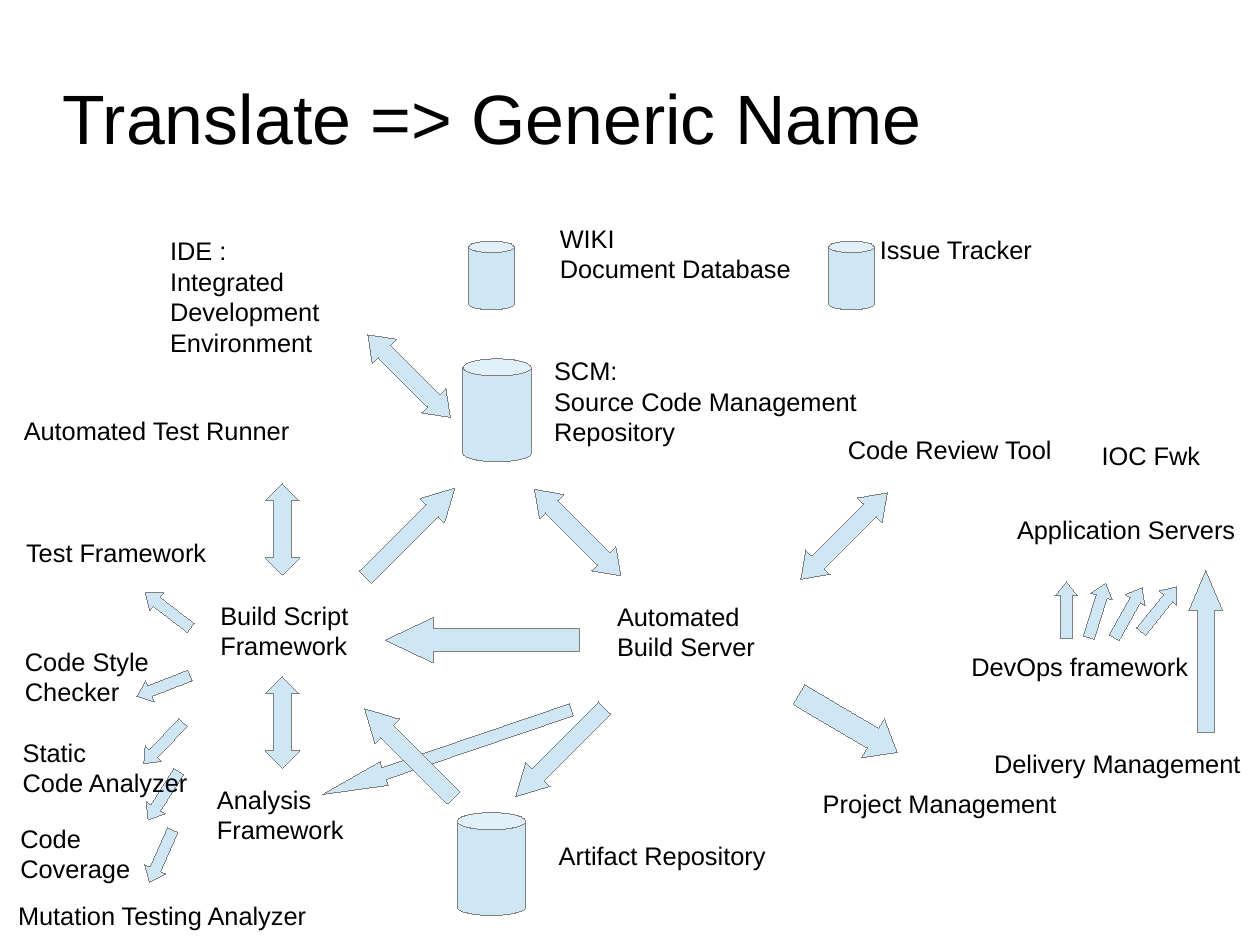
from dataclasses import dataclass

from pptx import Presentation
from pptx.dml.color import RGBColor
from pptx.enum.shapes import MSO_SHAPE as Preset
from pptx.enum.text import MSO_ANCHOR as Anchor, MSO_AUTO_SIZE as AutoSize
from pptx.util import Cm, Pt


@dataclass(frozen=True)
class Theme:
    font: str = "Arial"
    ink: str = "000000"
    fill: str = "CFE7F5"
    edge: str = "808080"
    hairline: float = 0.01
    title_size: int = 44
    label_size: int = 16


COLUMNS, ROWS = 110.24, 82.68
LABEL_LINE, LABEL_PADDING, LABEL_SLACK = 2.45, 1, 0.4

CANS = [
    (40.5, 31.4, 6, 9),
    (40, 71.1, 6, 9),
    (41, 21.1, 4, 6),
    (72.5, 21.1, 4, 6),
]

FLOW_ARROWS = [
    (Preset.RIGHT_ARROW, 30.4, 45.1, 11, 3, 315, 0.92),
    (Preset.LEFT_ARROW, 33.7, 54, 17, 4, 0, 1.06),
    (Preset.RIGHT_ARROW, 69.2, 61.3, 10, 4, 30.5, 0.62),
    (Preset.UP_ARROW, 104, 49.9, 3, 14.2, 0, 1.18),
    (Preset.RIGHT_ARROW, 43.5, 64.3, 11, 3, 135, 0.92),
    (Preset.RIGHT_ARROW, 27.6, 64.7, 23, 2.2, 161.2, 2.59),
    (Preset.RIGHT_ARROW, 30.3, 64.4, 11, 3, 225, 0.92),
    (Preset.LEFT_RIGHT_ARROW, 45.2, 45.1, 10.7, 3, 225, 0.71),
    (Preset.LEFT_RIGHT_ARROW, 68.5, 45.4, 10.7, 3, 315, 0.71),
    (Preset.LEFT_RIGHT_ARROW, 30.7, 31.4, 10.2, 3, 225, 0.68),
    (Preset.UP_DOWN_ARROW, 23.2, 42.3, 3, 8, 0, 0.53),
    (Preset.UP_DOWN_ARROW, 23.2, 59.2, 3, 8, 0, 0.53),
]

ANALYZER_ARROWS = [
    (12.2, 52.4, 37.5),
    (11.8, 59, 338.6),
    (11.8, 64, 313.5),
    (11.8, 68.6, 302.3),
    (11.6, 73.9, 294),
]

SERVER_ARROWS = [
    (90.8 + 2.7 * index, top, angle)
    for index, (top, angle) in enumerate(
        [(52.4, 90), (52.4, 107.3), (52.6, 119.2), (52.3, 128.7)]
    )
]

LABELS = [
    ("IDE :\nIntegrated\nDevelopment\nEnvironment", 13.9, 20.1, 15.1),
    ("WIKI\nDocument Database", 48, 19, 22.2),
    ("Issue Tracker", 76, 20, 15.3),
    ("SCM:\nSource Code Management\nRepository", 47.5, 30.6, 28.5),
    ("Automated Test Runner", 1.1, 35.8, 25.3),
    ("Code Review Tool", 73.2, 37.5, 19.8),
    ("IOC Fwk", 95.4, 38, 10.6),
    ("Application Servers", 88, 44.5, 21.1),
    ("Test Framework", 1.3, 46.5, 17.7),
    ("Build Script\nFramework", 18.3, 52, 13.2),
    ("Automated\nBuild Server", 53, 52.1, 14.1),
    ("Code Style\nChecker", 1.2, 56, 12.8),
    ("DevOps framework", 84, 56.5, 21),
    ("Static\nCode Analyzer", 1, 64, 16.4),
    ("Delivery Management", 86, 65, 23.5),
    ("Analysis\nFramework", 18, 68.1, 13.1),
    ("Project Management", 71, 68.5, 22.4),
    ("Code\nCoverage", 0.8, 71.5, 11.6),
    ("Artifact Repository", 47.9, 73, 20.1),
    ("Mutation Testing Analyzer", 0.6, 78.3, 27.2),
]


def write_text(frame, text, *, font, size, color):
    for index, line in enumerate(text.split("\n")):
        para = frame.paragraphs[0] if index == 0 else frame.add_paragraph()
        span = para.add_run()
        span.text = line
        span.font.name = font
        span.font.size = Pt(size)
        span.font.color.rgb = RGBColor.from_string(color)


class Board:
    def __init__(self, deck, theme):
        self.theme = theme
        self.column = deck.slide_width / COLUMNS
        self.row = deck.slide_height / ROWS
        self.page = deck.slides.add_slide(deck.slide_layouts[6])

    def place(self, left, top, width, height):
        return (
            round(left * self.column),
            round(top * self.row),
            round(width * self.column),
            round(height * self.row),
        )

    def shape(self, preset, left, top, width, height, angle=0, adjustments=()):
        shape = self.page.shapes.add_shape(
            preset, *self.place(left, top, width, height)
        )
        shape.shadow.inherit = False
        shape.fill.solid()
        shape.fill.fore_color.rgb = RGBColor.from_string(self.theme.fill)
        shape.line.color.rgb = RGBColor.from_string(self.theme.edge)
        shape.line.width = Pt(self.theme.hairline)
        shape.rotation = angle
        for index, value in enumerate(adjustments):
            shape.adjustments[index] = value

    def can(self, left, top, width, height):
        self.shape(Preset.CAN, left, top, width, height, adjustments=[0.25])

    def arrow(self, preset, left, top, width, height, angle, head):
        self.shape(preset, left, top, width, height, angle, [0.5, head])

    def small_arrow(self, left, top, angle):
        self.arrow(Preset.LEFT_ARROW, left, top, 5, 2, angle, 0.62)

    def title(self, text, left, top, width, height):
        box = self.page.shapes.add_textbox(*self.place(left, top, width, height))
        frame = box.text_frame
        frame.word_wrap = True
        frame.vertical_anchor = Anchor.MIDDLE
        frame.margin_left = frame.margin_right = 0
        frame.margin_top = frame.margin_bottom = 0
        write_text(frame, text, font=self.theme.font,
                   size=self.theme.title_size, color=self.theme.ink)

    def label(self, text, left, top, width):
        height = LABEL_PADDING + LABEL_LINE * len(text.split("\n"))
        box = self.page.shapes.add_textbox(
            *self.place(left, top, width + LABEL_SLACK, height)
        )
        frame = box.text_frame
        frame.word_wrap = False
        frame.auto_size = AutoSize.SHAPE_TO_FIT_TEXT
        write_text(frame, text, font=self.theme.font,
                   size=self.theme.label_size, color=self.theme.ink)


def main():
    deck = Presentation()
    deck.slide_width, deck.slide_height = Cm(28), Cm(21)
    board = Board(deck, Theme())
    board.title("Translate => Generic Name", 5.5, 3.3, 99.2, 13.8)
    for can in CANS:
        board.can(*can)
    for arrow in FLOW_ARROWS:
        board.arrow(*arrow)
    for arrow in ANALYZER_ARROWS + SERVER_ARROWS:
        board.small_arrow(*arrow)
    for label in LABELS:
        board.label(*label)
    deck.save("out.pptx")


if __name__ == "__main__":
    main()
